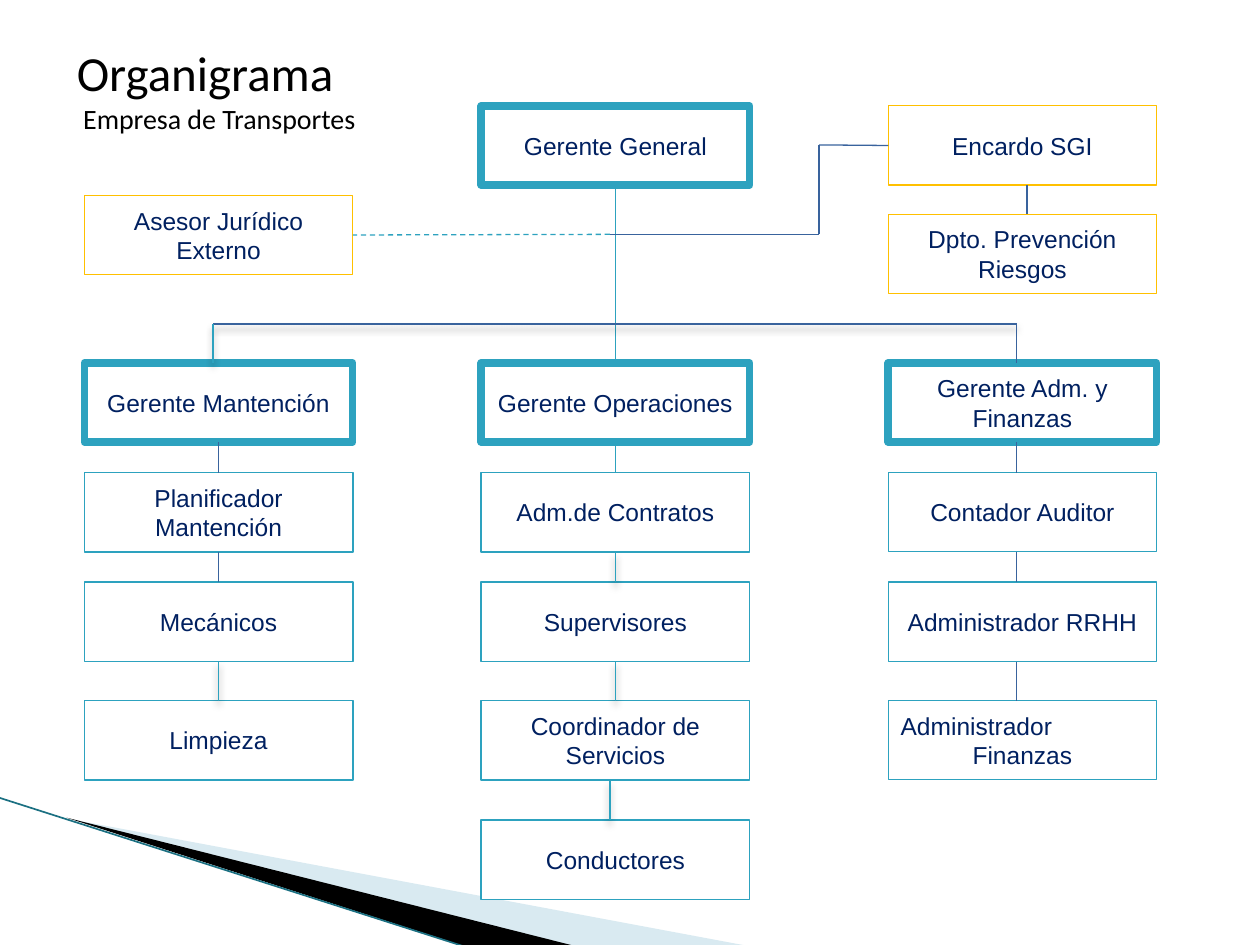
from lxml import etree
from pptx import Presentation
from pptx.dml.color import RGBColor
from pptx.enum import dml, shapes, text
from pptx.oxml import ns
from pptx.util import Inches, Pt

TEAL = RGBColor(0x2D, 0xA2, 0xBF)
BLUE = RGBColor(0x39, 0x63, 0x9D)
GOLD = RGBColor(0xFF, 0xC0, 0x00)
NAVY = RGBColor(0x00, 0x20, 0x60)
PALE = RGBColor(0xD9, 0xEA, 0xF1)
EDGE = RGBColor(0x1B, 0x70, 0x82)
BLACK = RGBColor(0, 0, 0)
WHITE = RGBColor(0xFF, 0xFF, 0xFF)

# Content: (text, column, top)
TITLE = [("Organigrama", 28), (" Empresa de Transportes", 16)]
MANAGERS = [("Gerente General", 1, 0.84), ("Gerente Mantención", 0, 2.88),
            ("Gerente Operaciones", 1, 2.88), ("Gerente Adm. y Finanzas", 2, 2.88)]
ADVISERS = [("Asesor Jurídico Externo", 0, 1.55), ("Encardo SGI", 2, 0.84),
            ("Dpto. Prevención Riesgos", 2, 1.7)]
TEAMS = [["Planificador Mantención", "Mecánicos", "Limpieza"],
         ["Adm.de Contratos", "Supervisores", "Coordinador de Servicios", "Conductores"],
         ["Contador Auditor", "Administrador RRHH", "Administrador\nFinanzas"]]

# Layout
COL_X = [0.67, 3.82, 7.05]
TEAM_Y = [3.75, 4.62, 5.56, 6.51]
BOX_W, BOX_H = 2.13, 0.63
BUS_Y, BUS_LEFT, BUS_RIGHT = 2.57, 1.69, 8.07
STAFF_Y, STAFF_X, ELBOW_X, SGI_Y = 1.86, 4.84, 6.5, 1.15

# Links: (upper, lower, x or None when centred, colour, shadow)
LINKS = [
    ("Gerente General", "Gerente Operaciones", None, TEAL, False),
    ("Gerente Operaciones", "Adm.de Contratos", None, TEAL, False),
    ("Adm.de Contratos", "Supervisores", None, TEAL, True),
    ("Supervisores", "Coordinador de Servicios", None, TEAL, True),
    ("Coordinador de Servicios", "Conductores", STAFF_X, TEAL, True),
    ("Gerente Mantención", "Planificador Mantención", None, BLUE, False),
    ("Planificador Mantención", "Mecánicos", None, BLUE, False),
    ("Mecánicos", "Limpieza", None, TEAL, True),
    ("Gerente Adm. y Finanzas", "Contador Auditor", BUS_RIGHT, BLUE, False),
    ("Contador Auditor", "Administrador RRHH", BUS_RIGHT, BLUE, False),
    ("Administrador RRHH", "Administrador\nFinanzas", BUS_RIGHT, BLUE, False),
    ("Encardo SGI", "Dpto. Prevención Riesgos", 8.15, BLUE, False),
]

prs = Presentation()
prs.slide_width, prs.slide_height = Inches(10), Inches(7.5)
s = prs.slides.add_slide(prs.slide_layouts[5])
boxes = {}


def add_wedge(points, color):
    pts = [(Inches(x), Inches(y)) for x, y in points]
    builder = s.shapes.build_freeform(*pts[0])
    builder.add_line_segments(pts[1:], close=True)
    sp = builder.convert_to_shape()
    sp.shadow.inherit = False
    sp.fill.solid()
    sp.fill.fore_color.rgb = color
    sp.line.fill.background()


def add_box(label, col, top, color, width):
    sp = s.shapes.add_shape(shapes.MSO_SHAPE.RECTANGLE, Inches(COL_X[col]), Inches(top),
                            Inches(BOX_W), Inches(BOX_H))
    sp.shadow.inherit = False
    sp.fill.solid()
    sp.fill.fore_color.rgb = WHITE
    sp.line.color.rgb = color
    sp.line.width = Pt(width)
    tf = sp.text_frame
    tf.word_wrap = True
    tf.vertical_anchor = text.MSO_ANCHOR.MIDDLE
    tf.text = label
    for p in tf.paragraphs:
        p.alignment = text.PP_ALIGN.CENTER
        p.font.name, p.font.size, p.font.color.rgb = "Arial", Pt(14), NAVY
    if len(tf.paragraphs) > 1:
        tf.paragraphs[0].alignment = text.PP_ALIGN.LEFT
    boxes[label] = sp


def add_line(x1, y1, x2, y2, color, width=0.75, shadow=False):
    c = s.shapes.add_connector(shapes.MSO_CONNECTOR.STRAIGHT,
                               Inches(x1), Inches(y1), Inches(x2), Inches(y2))
    c.line.color.rgb = color
    c.line.width = Pt(width)
    effects = etree.SubElement(c._element.spPr, ns.qn("a:effectLst"))
    if shadow:
        outer = etree.SubElement(effects, ns.qn("a:outerShdw"), blurRad=str(Pt(4)),
                                 dist=str(Pt(3)), dir="5400000", rotWithShape="0")
        clr = etree.SubElement(outer, ns.qn("a:srgbClr"), val="000000")
        etree.SubElement(clr, ns.qn("a:alpha"), val="35000")
    return c


# Corner decoration
add_wedge([(0.55, 6.5), (5.95, 7.51), (4.56, 7.51)], PALE)
add_wedge([(0.53, 6.49), (4.57, 7.51), (3.72, 7.52)], BLACK)
add_line(-0.01, 6.33, 3.71, 7.52, EDGE, 0.95)

# Title
title = s.shapes.title
title.left, title.top, title.width, title.height = map(Inches, (0.51, 0.21, 5.97, 0.99))
tf = title.text_frame
tf.auto_size = text.MSO_AUTO_SIZE.NONE
tf.vertical_anchor = text.MSO_ANCHOR.MIDDLE
tf.text = "\n".join(line for line, _ in TITLE)
for p, (_, size) in zip(tf.paragraphs, TITLE):
    p.alignment = text.PP_ALIGN.LEFT
    p.font.name, p.font.size, p.font.color.rgb = "Calibri", Pt(size), BLACK

# Boxes
for box in MANAGERS:
    add_box(*box, TEAL, 4.33)
for box in ADVISERS:
    add_box(*box, GOLD, 0.75)
for col, team in enumerate(TEAMS):
    for label, top in zip(team, TEAM_Y):
        add_box(label, col, top, TEAL, 0.75 if col == 2 else 1)

# Vertical links
for upper, lower, x, color, shadow in LINKS:
    a, b = boxes[upper], boxes[lower]
    at = x or (a.left + a.width / 2) / Inches(1)
    c = add_line(at, (a.top + a.height) / Inches(1), at, b.top / Inches(1),
                 color, 1 if shadow else 0.75, shadow)
    if x is None:
        c.begin_connect(a, 2)
        c.end_connect(b, 0)

# Bus to the three managers
add_line(BUS_RIGHT, BUS_Y, BUS_LEFT, BUS_Y, BLUE, 1, True)
add_line(BUS_LEFT, BUS_Y, BUS_LEFT, 2.88, TEAL, 1, True)
add_line(BUS_RIGHT, BUS_Y, BUS_RIGHT, 2.88, BLUE)

# Staff links
add_line(STAFF_X, STAFF_Y, ELBOW_X, STAFF_Y, BLUE)
add_line(ELBOW_X, STAFF_Y, ELBOW_X, SGI_Y, BLUE)
add_line(ELBOW_X, SGI_Y, COL_X[2], SGI_Y, BLUE).end_connect(boxes["Encardo SGI"], 1)
adviser = add_line(STAFF_X, STAFF_Y, COL_X[0] + BOX_W, STAFF_Y, TEAL)
adviser.line.dash_style = dml.MSO_LINE.DASH
adviser.end_connect(boxes["Asesor Jurídico Externo"], 3)

prs.save("out.pptx")
